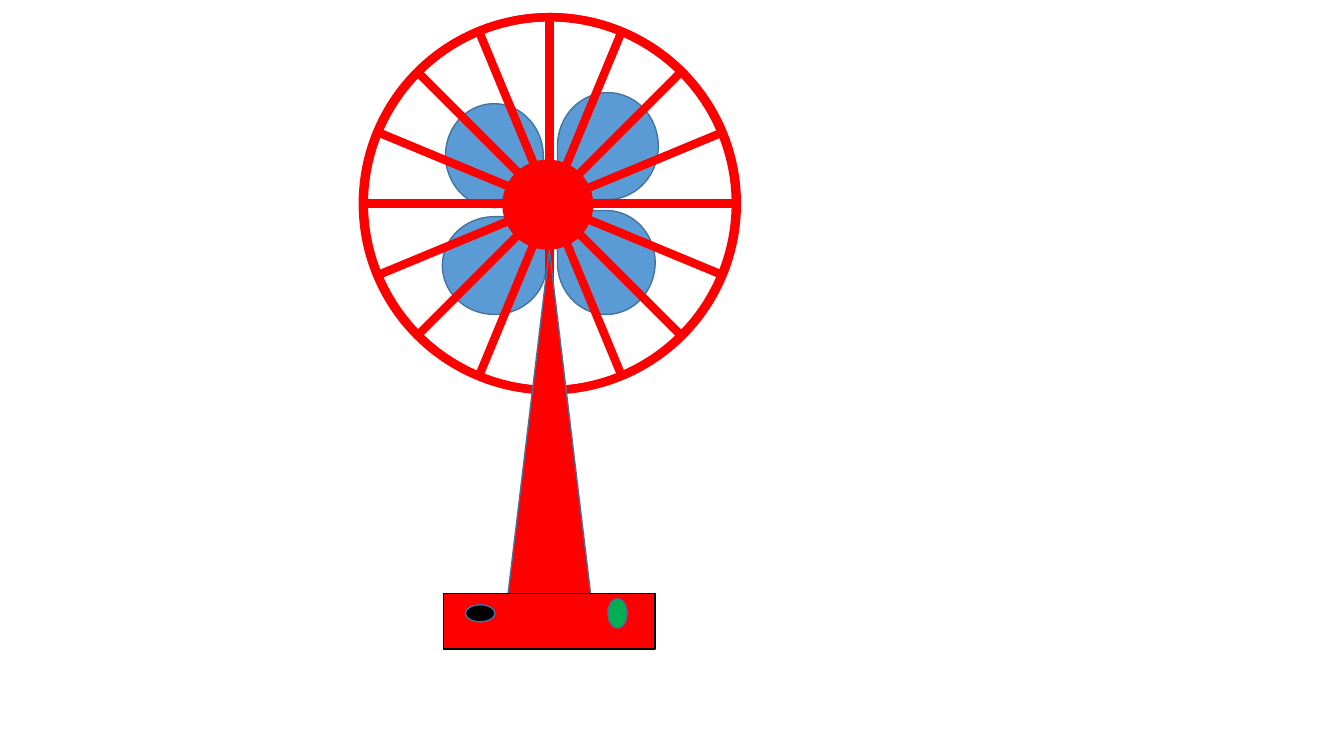
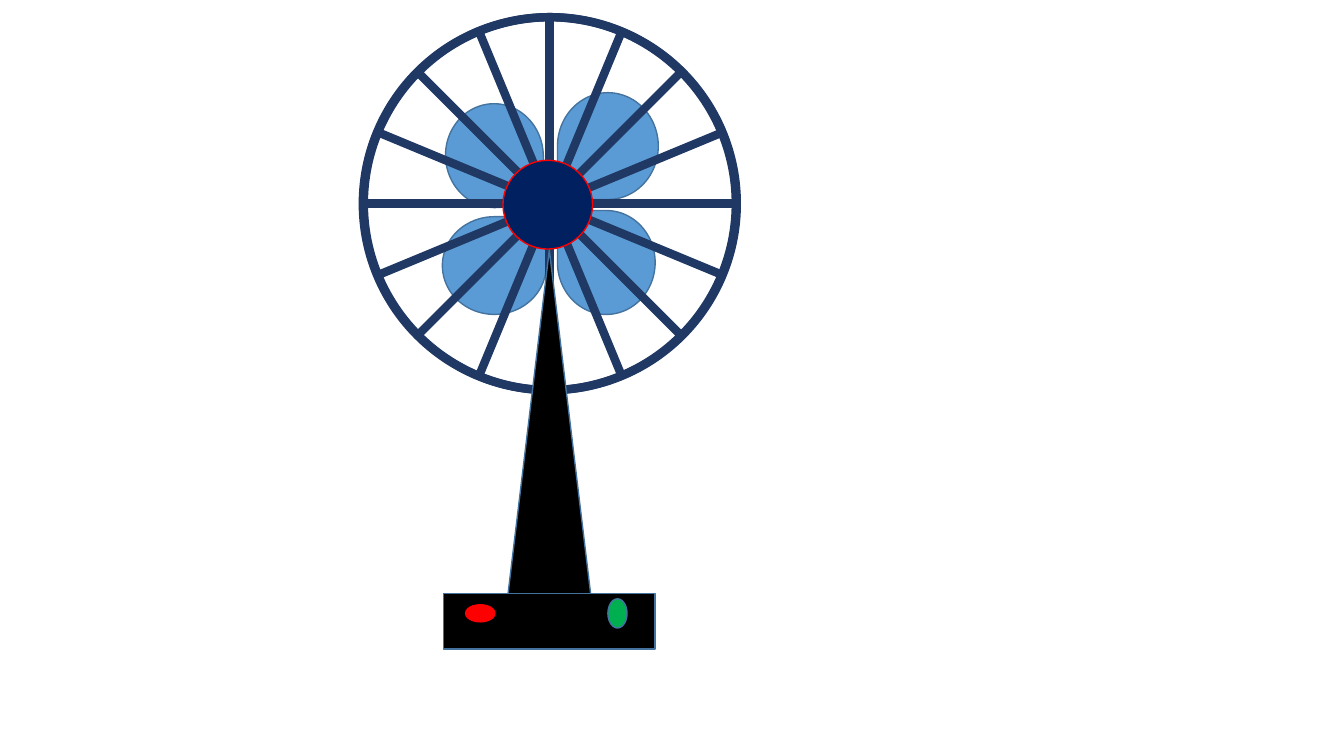
from dataclasses import dataclass
from math import cos, radians, sin

from lxml.etree import SubElement
from pptx import Presentation
from pptx.dml.color import RGBColor
from pptx.enum.shapes import MSO_CONNECTOR as Connector
from pptx.enum.shapes import MSO_SHAPE as Shape
from pptx.oxml.ns import qn
from pptx.util import Pt

# Colours
RED = RGBColor(0xFF, 0x00, 0x00)
BLACK = RGBColor(0x00, 0x00, 0x00)
NAVY = RGBColor(0x00, 0x20, 0x60)
STEEL = RGBColor(0x20, 0x38, 0x64)
GREEN = RGBColor(0x00, 0xB0, 0x50)
BLADE_BLUE = RGBColor(0x5B, 0x9B, 0xD5)
OUTLINE_BLUE = RGBColor(0x43, 0x73, 0x9E)

# Geometry in points: boxes are left, top, width, height
WHEEL_X, WHEEL_Y, WHEEL_RADIUS = 392.4, 145.5, 133.2
WHEEL_SHIFT = 0.72
SPOKE_STEP = 45
FRAME_WIDTH = 6
BLADES = [
    ((316, 154.8, 74.2, 69.8), 0),
    ((316, 76.3, 74.2, 69.8), 86.5),
    ((398.2, 66.2, 72, 76.3), 180),
    ((396, 152.6, 74.2, 69.8), 270),
]
HUB = (359.3, 114.5, 64, 63.4)
TOWER = (362.9, 178.6, 59, 245.5)
BASE = (316.8, 424.1, 151.2, 39.6)
LAMP = (434.2, 427.7, 13.7, 20.9)
SWITCH = (332.6, 432, 20.9, 12.2)


@dataclass
class FanColours:
    frame: RGBColor
    hub: RGBColor
    stand: RGBColor
    base_line: RGBColor
    switch: RGBColor
    switch_line: RGBColor


FANS = [
    FanColours(frame=RED, hub=RED, stand=RED, base_line=BLACK,
               switch=BLACK, switch_line=OUTLINE_BLUE),
    FanColours(frame=STEEL, hub=NAVY, stand=BLACK, base_line=OUTLINE_BLUE,
               switch=RED, switch_line=RED),
]


def add_part(shapes, kind, box, fill=None, line=OUTLINE_BLUE, width=1, rotation=0):
    """Add a preset shape; without a fill colour it is hollow."""
    shape = shapes.add_shape(kind, *(Pt(length) for length in box))
    shape.shadow.inherit = False
    shape.rotation = rotation
    if fill is None:
        shape.fill.background()
    else:
        shape.fill.solid()
        shape.fill.fore_color.rgb = fill
    shape.line.color.rgb = line
    shape.line.width = Pt(width)


def add_spoke(shapes, start, end, colour):
    points = (Pt(length) for length in (*start, *end))
    spoke = shapes.add_connector(Connector.STRAIGHT, *points)
    spoke.line.color.rgb = colour
    spoke.line.width = Pt(FRAME_WIDTH)
    SubElement(spoke._element.spPr, qn("a:effectLst"))


def add_wheel(shapes, center_x, first_angle, colour):
    """Add a ring crossed by four full-width spokes."""
    box = (center_x - WHEEL_RADIUS, WHEEL_Y - WHEEL_RADIUS,
           2 * WHEEL_RADIUS, 2 * WHEEL_RADIUS)
    add_part(shapes, Shape.OVAL, box, line=colour, width=FRAME_WIDTH)
    for index in range(4):
        angle = radians(first_angle + index * SPOKE_STEP)
        across, down = WHEEL_RADIUS * cos(angle), WHEEL_RADIUS * sin(angle)
        add_spoke(shapes, (center_x - across, WHEEL_Y - down),
                  (center_x + across, WHEEL_Y + down), colour)


def add_fan(slide, colours):
    # Blades
    blades = slide.shapes.add_group_shape().shapes
    for box, rotation in BLADES:
        add_part(blades, Shape.TEAR, box, fill=BLADE_BLUE, rotation=rotation)

    # Guard: two wheels, half a step apart
    guard = slide.shapes.add_group_shape().shapes
    add_wheel(guard, WHEEL_X, 0, colours.frame)
    add_wheel(guard, WHEEL_X + WHEEL_SHIFT, SPOKE_STEP / 2, colours.frame)
    add_part(slide.shapes, Shape.OVAL, HUB, fill=colours.hub, line=RED)

    # Stand
    stand = slide.shapes.add_group_shape().shapes
    add_part(stand, Shape.ISOSCELES_TRIANGLE, TOWER, fill=colours.stand)
    add_part(stand, Shape.RECTANGLE, BASE, fill=colours.stand, line=colours.base_line)

    # Controls
    add_part(slide.shapes, Shape.OVAL, LAMP, fill=GREEN)
    add_part(slide.shapes, Shape.OVAL, SWITCH, fill=colours.switch,
             line=colours.switch_line)


def main():
    presentation = Presentation()
    presentation.slide_width = Pt(960)
    presentation.slide_height = Pt(540)
    blank_layout = presentation.slide_layouts[6]
    for colours in FANS:
        add_fan(presentation.slides.add_slide(blank_layout), colours)
    presentation.save("out.pptx")


if __name__ == "__main__":
    main()
